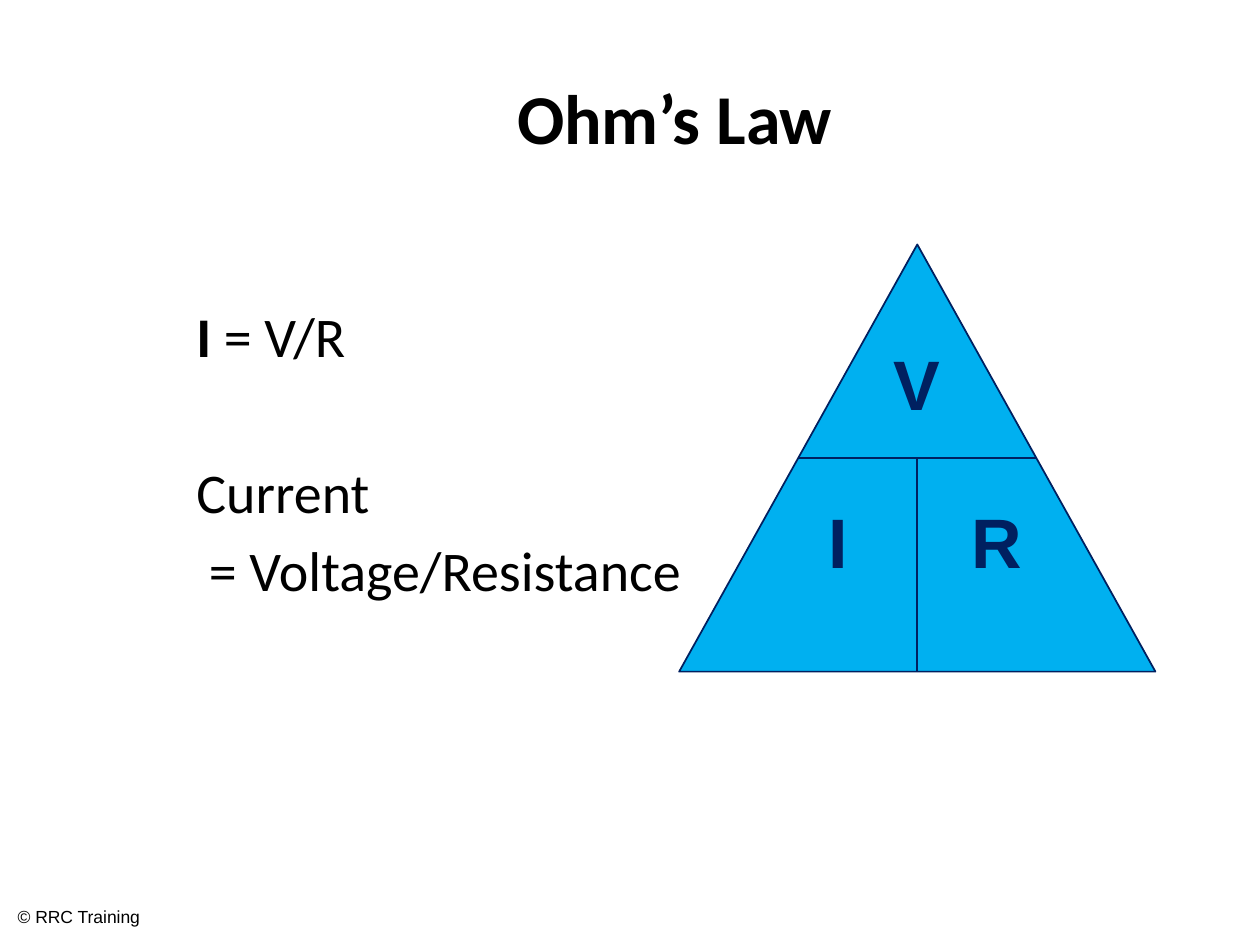
from lxml import etree
from pptx import Presentation
from pptx import util as u
from pptx.dml.color import RGBColor
from pptx.enum import shapes, text
from pptx.oxml.ns import qn

COLORS = {"black": "000000", "navy": "002060", "blue": "00B0F0"}

deck = Presentation()
deck.slide_width, deck.slide_height = u.Inches(10), u.Inches(7.5)
page = deck.slides.add_slide(deck.slide_layouts[6])


def add_text(lines, left, top, width, height, font, size, color="black",
             bold=False, align=text.PP_ALIGN.CENTER,
             anchor=text.MSO_ANCHOR.TOP):
    box = page.shapes.add_textbox(*map(u.Inches, (left, top, width, height)))
    frame = box.text_frame
    frame.text = lines
    frame.word_wrap = True
    frame.vertical_anchor = anchor
    for para in frame.paragraphs:
        para.alignment = align
        for span in para.runs:
            span.font.name, span.font.size = font, u.Pt(size)
            span.font.bold = bold
            span.font.color.rgb = RGBColor.from_string(COLORS[color])
    return frame


def add_line(x1, y1, x2, y2):
    line = page.shapes.add_connector(
        shapes.MSO_CONNECTOR.STRAIGHT, *map(u.Inches, (x1, y1, x2, y2)))
    line.line.color.rgb = RGBColor.from_string(COLORS["navy"])
    line.line.width = u.Pt(1)
    etree.SubElement(line._element.spPr, qn("a:effectLst"))


# Footer
add_text("© RRC Training", 0, 7.14, 1.25, 0.27, "Arial", 10,
         anchor=text.MSO_ANCHOR.MIDDLE)

# Formula in symbols, then in words
formula = add_text("I\n\u200b".split("\n")[0], 1.46, 1.7, 7.79, 5.02,
                   "Calibri", 32, align=text.PP_ALIGN.LEFT)
formula.margin_top = u.Inches(0.69)
symbol = formula.paragraphs[0].runs[0]
symbol.font.bold = True
for content, gap, indent in ((" = V/R", None, 0), ("Current", 51, 0),
                             ("= Voltage/Resistance", 6, 0.1)):
    para = formula.paragraphs[0] if gap is None else formula.add_paragraph()
    if gap is not None:
        para.space_before = u.Pt(gap)
        para._p.get_or_add_pPr().set("marL", str(u.Inches(indent)))
    span = para.add_run()
    span.text = content
    span.font.name, span.font.size = "Calibri", u.Pt(32)
    span.font.bold = False
    span.font.color.rgb = RGBColor.from_string(COLORS["black"])

# Title
add_text("Ohm’s Law", 1.46, 0.42, 7.79, 0.89, "Calibri", 40, bold=True,
         anchor=text.MSO_ANCHOR.BOTTOM)

# Triangle, split at half its height and below that down the middle
left, top, width, height = 5.39, 1.94, 3.78, 3.39
center, middle = left + width / 2, top + height / 2
triangle = page.shapes.add_shape(
    shapes.MSO_SHAPE.ISOSCELES_TRIANGLE,
    *map(u.Inches, (left, top, width, height)))
triangle.shadow.inherit = False
triangle.fill.solid()
triangle.fill.fore_color.rgb = RGBColor.from_string(COLORS["blue"])
triangle.line.color.rgb = RGBColor.from_string(COLORS["navy"])
triangle.line.width = u.Pt(1)
add_line(center - width / 4, middle, center + width / 4, middle)
add_line(center, top + height, center, middle)

# Quantity labels
for label, offset, label_top in (("V", 0, 2.65), ("I", -0.63, 3.91),
                                 ("R", 0.63, 3.91)):
    add_text(label, center + offset - 0.315, label_top, 0.63, 0.77,
             "Arial", 40, "navy", bold=True)

deck.save("out.pptx")
